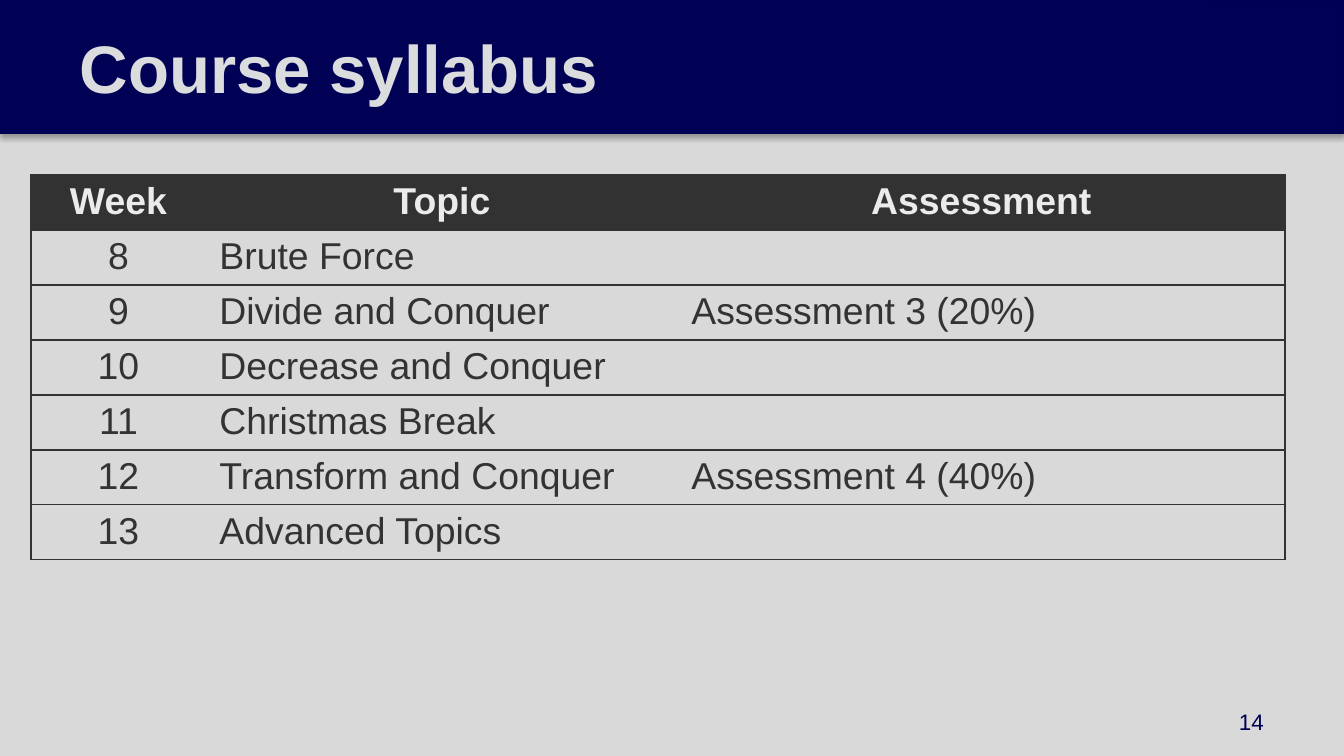
from lxml import etree
from pptx import Presentation
from pptx import util as u
from pptx.dml.color import RGBColor
from pptx.enum import shapes, text
from pptx.oxml import ns

PX = 6804
COLORS = {
    "bg": "D9D9D9", "navy": "000054", "band_line": "000052", "title": "DBDCDD",
    "dark": "323232", "body": "333333", "head": "EBEBEB", "shadow": "000000",
}
COLUMNS = [175, 472, 607]
ROW_HEIGHT = 55
SYLLABUS = [
    ("Week", "Topic", "Assessment"),
    ("8", "Brute Force", ""),
    ("9", "Divide and Conquer", "Assessment 3 (20%)"),
    ("10", "Decrease and Conquer", ""),
    ("11", "Christmas Break", ""),
    ("12", "Transform and Conquer", "Assessment 4 (40%)"),
    ("13", "Advanced Topics", ""),
]


def px(*lengths):
    """Turn pixel lengths into a list of EMU."""
    return [u.Emu(n * PX) for n in lengths]


def rgb(name):
    """Look up a named colour."""
    return RGBColor.from_string(COLORS[name])


def paint(fill, color):
    """Apply a solid named colour to a fill."""
    fill.solid()
    fill.fore_color.rgb = rgb(color)


def write(tf, content, size=20, color="body", bold=False, align="LEFT"):
    """Put one formatted paragraph into a text frame and return it."""
    p = tf.paragraphs[0]
    p.alignment = getattr(text.PP_ALIGN, align)
    r = p.add_run()
    r.text = content
    r.font.name, r.font.size, r.font.bold = "Arial", u.Pt(size), bold
    r.font.color.rgb = rgb(color)
    return p


def add_shadow(sp):
    """Give a shape a soft shadow below it."""
    sp.shadow.inherit = False
    effects = sp._element.spPr.find(ns.qn("a:effectLst"))
    shadow = etree.SubElement(effects, ns.qn("a:outerShdw"), blurRad=str(u.Pt(3.1)),
                              dist=str(u.Pt(1.8)), dir="5400000", rotWithShape="0")
    color = etree.SubElement(shadow, ns.qn("a:srgbClr"), val=COLORS["shadow"])
    etree.SubElement(color, ns.qn("a:alpha"), val="35000")


def add_band(s):
    """Draw the navy band across the top."""
    sp = s.shapes.add_shape(shapes.MSO_SHAPE.RECTANGLE, *px(0, 0, 1344, 133))
    paint(sp.fill, "navy")
    sp.line.color.rgb = rgb("band_line")
    sp.line.width = u.Pt(0.75)
    add_shadow(sp)


def set_title(s, content):
    """Place the title placeholder on top of the band."""
    sp = s.shapes.title
    s.shapes._spTree.append(sp._element)
    sp.left, sp.top, sp.width, sp.height = px(0, 0, 1214, 133)
    paint(sp.fill, "navy")
    tf = sp.text_frame
    tf.auto_size = text.MSO_AUTO_SIZE.NONE
    tf.vertical_anchor = text.MSO_ANCHOR.MIDDLE
    tf.margin_left, tf.margin_right = px(54, 54)
    p = write(tf, content, size=36, color="title", bold=True)
    p._p.get_or_add_pPr().set("marL", str(u.Inches(0.19)))


def set_borders(cell, visible):
    """Draw the visible cell sides and hide the others."""
    tcPr = cell._tc.get_or_add_tcPr()
    for side in "LRTB":
        ln = etree.SubElement(tcPr, ns.qn(f"a:ln{side}"), w=str(u.Pt(0.75)))
        if side in visible:
            fill = etree.SubElement(ln, ns.qn("a:solidFill"))
            etree.SubElement(fill, ns.qn("a:srgbClr"), val=COLORS["dark"])
        else:
            etree.SubElement(ln, ns.qn("a:noFill"))


def fill_cell(cell, content, is_head, is_first, is_last):
    """Format one syllabus cell and write its text."""
    set_borders(cell, "TB" + "L" * is_first + "R" * is_last)
    cell.margin_top, cell.margin_bottom = px(6, 6)
    if is_head:
        paint(cell.fill, "dark")
    else:
        cell.fill.background()
    if content:
        write(cell.text_frame, content, color="head" if is_head else "body",
              bold=is_head, align="CENTER" if is_head or is_first else "LEFT")


def add_syllabus(s, rows):
    """Add the syllabus table."""
    box = px(31, 175, sum(COLUMNS), ROW_HEIGHT * len(rows))
    table = s.shapes.add_table(len(rows), len(COLUMNS), *box).table
    table.horz_banding = False
    for column, width in zip(table.columns, px(*COLUMNS)):
        column.width = width
    for i, row in enumerate(rows):
        table.rows[i].height = px(ROW_HEIGHT)[0]
        for j, content in enumerate(row):
            fill_cell(table.cell(i, j), content, i == 0, j == 0, j == len(row) - 1)


def add_page_number(s, number):
    """Add the page number at the lower right."""
    tf = s.shapes.add_textbox(*px(964, 701, 313, 40)).text_frame
    tf.word_wrap = True
    tf.vertical_anchor = text.MSO_ANCHOR.MIDDLE
    write(tf, number, size=12, color="navy", align="RIGHT")


def main():
    """Build and save the slide."""
    prs = Presentation()
    prs.slide_width, prs.slide_height = px(1344, 756)
    s = prs.slides.add_slide(prs.slide_layouts[5])
    paint(s.background.fill, "bg")
    add_band(s)
    set_title(s, "Course syllabus")
    add_syllabus(s, SYLLABUS)
    add_page_number(s, "14")
    prs.save("out.pptx")


if __name__ == "__main__":
    main()
